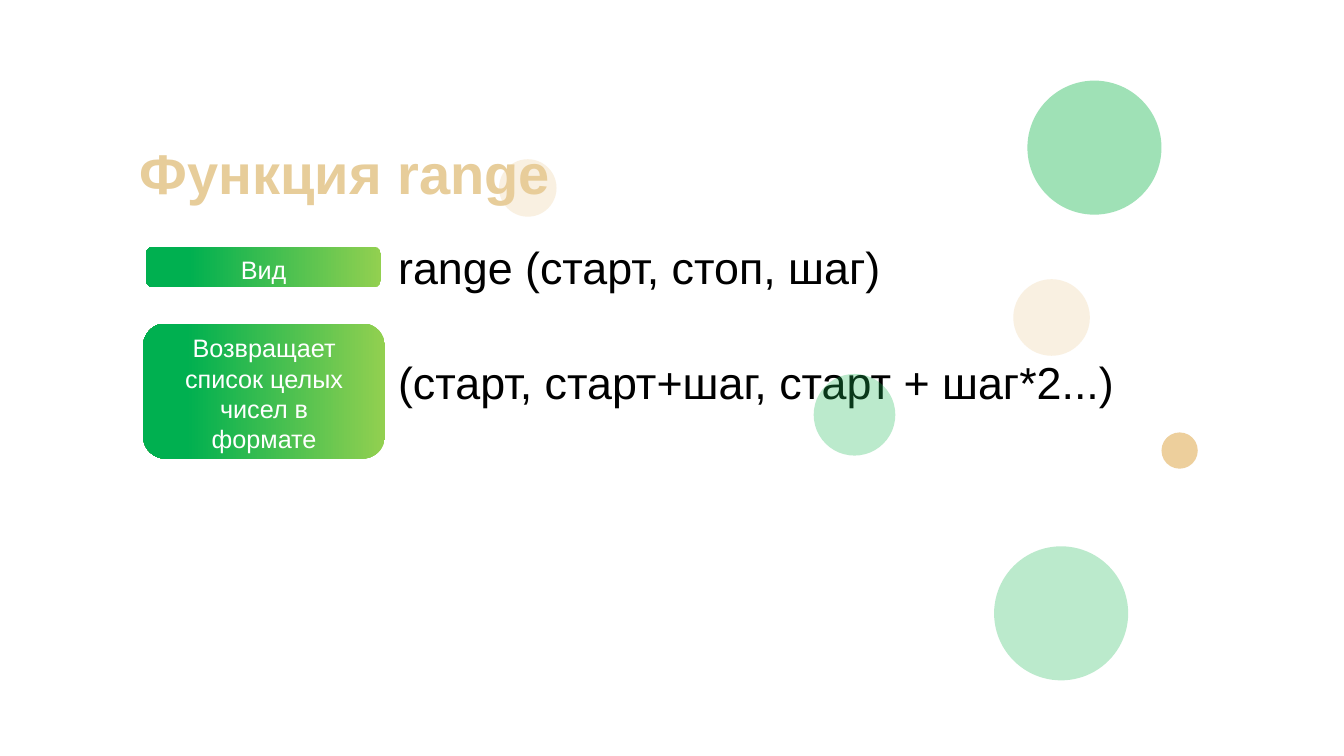
import pptx
import pptx.dml.color
import pptx.enum.shapes
import pptx.enum.text
import pptx.oxml
import pptx.oxml.ns
import pptx.util

EMU_PER_PX = 9144
SHAPES = pptx.enum.shapes.MSO_SHAPE
ALIGN = pptx.enum.text.PP_ALIGN
ANCHOR = pptx.enum.text.MSO_ANCHOR

THEME = {
    "font": "Arial",
    "title_size": 40,
    "formula_size": 32,
    "label_size": 18,
    "title": "E7CD9A",
    "text": "000000",
    "label": "FFFFFF",
    "green": "21BA58",
    "sand": "EDCF9C",
    "gradient": (("92D050", 0), ("00B050", 0.82)),
}

ROWS = (
    ("Вид", (145, 245, 233, 40), "range (старт, стоп, шаг)", (385, 233, 572, 64)),
    ("Возвращает список целых чисел в формате", (142, 321, 240, 134),
     "(старт, старт+шаг, старт + шаг*2...)", (385, 347, 834, 64)),
)

CIRCLES = (
    (1019, 80, 133, "green", 43),
    (1005, 277, 76, "sand", 30),
    (986, 542, 133, "green", 30),
    (1152, 429, 36, "sand", 100),
    (495, 158, 57, "sand", 30),
    (807, 371, 81, "green", 30),
)


def px(*lengths):
    """Turn pixel lengths into EMU."""
    return [pptx.util.Emu(length * EMU_PER_PX) for length in lengths]


def rgb(name):
    """Return a theme colour by its role."""
    return pptx.dml.color.RGBColor.from_string(THEME[name])


def apply(target, formats):
    """Set every attribute in a dict of format values."""
    for name, value in formats.items():
        setattr(target, name, value)


def write(shape, text, size, color, align, **frame_formats):
    """Put one formatted paragraph into a shape."""
    frame = shape.text_frame
    apply(frame, {"word_wrap": True, **frame_formats})
    paragraph = frame.paragraphs[0]
    paragraph.alignment = align
    run = paragraph.add_run()
    run.text = text
    apply(run.font, {"name": THEME["font"], "size": pptx.util.Pt(THEME[size])})
    run.font.color.rgb = rgb(color)
    return run


def add_plain_shape(slide, kind, box):
    """Add a preset shape without shadow or outline."""
    shape = slide.shapes.add_shape(kind, *px(*box))
    shape.shadow.inherit = False
    shape.line.fill.background()
    return shape


def add_title(slide, box):
    """Move and format the title placeholder."""
    title = slide.shapes.title
    apply(title, dict(zip(("left", "top", "width", "height"), px(*box))))
    run = write(title, "Функция range", "title_size", "title", ALIGN.CENTER,
                vertical_anchor=ANCHOR.MIDDLE)
    run.font.bold = True


def add_label(slide, text, box):
    """Add a rounded gradient label with centred text."""
    label = add_plain_shape(slide, SHAPES.ROUNDED_RECTANGLE, box)
    label.fill.gradient()
    label.fill.gradient_angle = 180
    for stop, (color, position) in zip(label.fill.gradient_stops, THEME["gradient"]):
        stop.color.rgb = pptx.dml.color.RGBColor.from_string(color)
        stop.position = position
    side, top, bottom = px(26, 4, 0)
    write(label, text, "label_size", "label", ALIGN.CENTER,
          vertical_anchor=ANCHOR.MIDDLE, margin_left=side, margin_right=side,
          margin_top=top, margin_bottom=bottom)


def add_row(slide, label, label_box, formula, formula_box):
    """Add a label and the formula beside it."""
    text_box = slide.shapes.add_textbox(*px(*formula_box))
    write(text_box, formula, "formula_size", "text", ALIGN.LEFT)
    add_label(slide, label, label_box)


def add_circle(slide, left, top, diameter, color, opacity):
    """Add a decorative circle with the given opacity percentage."""
    circle = add_plain_shape(slide, SHAPES.OVAL, (left, top, diameter, diameter))
    circle.fill.solid()
    circle.fill.fore_color.rgb = rgb(color)
    if opacity < 100:
        color_element = circle.fill._xPr.find(".//" + pptx.oxml.ns.qn("a:srgbClr"))
        alpha = pptx.oxml.parse_xml(
            f'<a:alpha {pptx.oxml.ns.nsdecls("a")} val="{opacity * 1000}"/>')
        color_element.append(alpha)


def main():
    """Build and save the presentation."""
    presentation = pptx.Presentation()
    width, height = px(1333, 750)
    apply(presentation, {"slide_width": width, "slide_height": height})
    slide = presentation.slides.add_slide(presentation.slide_layouts.get_by_name("Title Only"))
    add_title(slide, (87, 132, 510, 77))
    for row in ROWS:
        add_row(slide, *row)
    for circle in CIRCLES:
        add_circle(slide, *circle)
    presentation.save("out.pptx")


if __name__ == "__main__":
    main()
